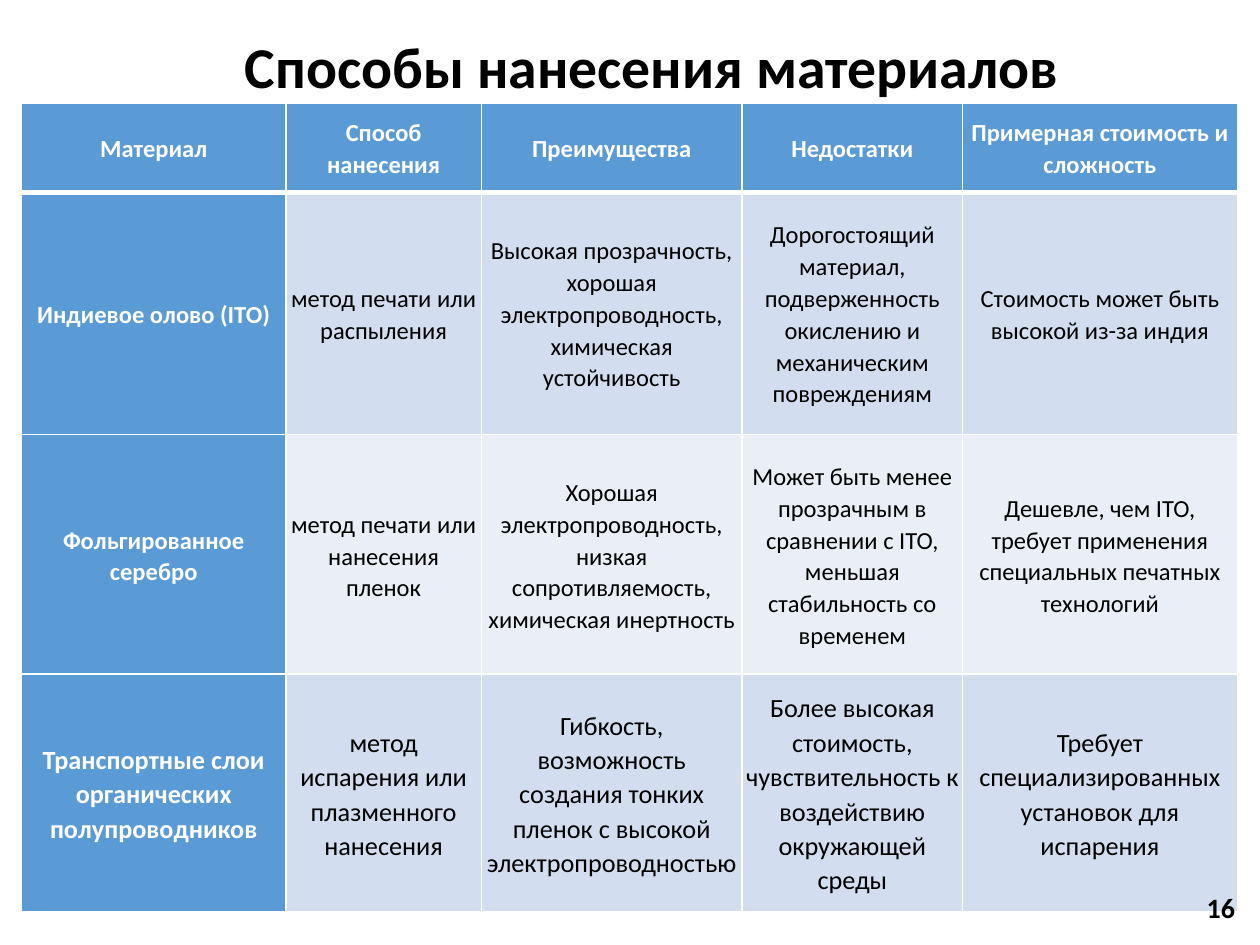
from lxml.etree import SubElement
from pptx import Presentation
from pptx.dml.color import RGBColor
from pptx.enum.text import MSO_ANCHOR, PP_ALIGN
from pptx.oxml.ns import qn
from pptx.util import Inches, Pt

COLORS = {
    "accent": "5B9BD5",
    "band_dark": "D2DEEF",
    "band_light": "EAEFF7",
    "white": "FFFFFF",
    "black": "000000",
}
FONT = "Calibri"
TABLE_LEFT = 0.17
COLUMN_WIDTHS = [2.1, 1.55, 2.07, 1.75, 2.18]
CELL_FORMAT = {
    "vertical_anchor": MSO_ANCHOR.MIDDLE,
    "margin_left": Inches(0.02),
    "margin_right": Inches(0.02),
    "margin_top": 0,
    "margin_bottom": 0,
}
CELL_PARAGRAPH = {
    "alignment": PP_ALIGN.CENTER,
    "line_spacing": 1.07,
    "space_after": Pt(8),
}

HEADER = ["Материал", "Способ нанесения", "Преимущества", "Недостатки",
          "Примерная стоимость и сложность"]
INDIUM = [
    "Индиевое олово (ITO)",
    "метод печати или распыления",
    "Высокая прозрачность, хорошая электропроводность, химическая устойчивость",
    "Дорогостоящий материал, подверженность окислению и механическим повреждениям",
    "Стоимость может быть высокой из-за индия",
]
SILVER = [
    "Фольгированное серебро",
    "метод печати или нанесения пленок",
    "Хорошая электропроводность, низкая сопротивляемость, химическая инертность",
    "Может быть менее прозрачным в сравнении с ITO, меньшая стабильность со временем",
    "Дешевле, чем ITO, требует применения специальных печатных технологий",
]
ORGANIC = [
    "Транспортные слои органических полупроводников",
    "метод испарения или плазменного нанесения",
    "Гибкость, возможность создания тонких пленок с высокой электропроводностью",
    "Более высокая стоимость, чувствительность к воздействию окружающей среды",
    "Требует специализированных установок для испарения",
]


def set_attributes(target, values):
    for name, value in values.items():
        setattr(target, name, value)


def write_text(frame, text, size, color, bold, paragraph_format):
    para = frame.paragraphs[0]
    set_attributes(para, paragraph_format)
    span = para.add_run()
    span.text = text
    set_attributes(span.font, {"name": FONT, "size": Pt(size), "bold": bold})
    span.font.color.rgb = RGBColor.from_string(COLORS[color])


def add_text_box(page, place, text, size, paragraph_format):
    box = page.shapes.add_textbox(*map(Inches, place))
    set_attributes(box.text_frame, {
        "word_wrap": True,
        "vertical_anchor": MSO_ANCHOR.MIDDLE,
    })
    write_text(box.text_frame, text, size, "black", True, paragraph_format)


def set_borders(cell, bottom_width):
    """Draw white cell borders; line elements precede the fill in the schema."""
    properties = cell._tc.get_or_add_tcPr()
    widths = {"a:lnL": 1, "a:lnR": 1, "a:lnT": 1, "a:lnB": bottom_width}
    for position, (tag, width) in enumerate(widths.items()):
        line = SubElement(properties, qn(tag), w=str(Pt(width)))
        fill = SubElement(line, qn("a:solidFill"))
        SubElement(fill, qn("a:srgbClr"), val=COLORS["white"])
        properties.insert(position, line)


def add_material_table(page, top, rows, size):
    """Each row is (height, band colour, bottom border width, texts)."""
    height = sum(row[0] for row in rows)
    frame = page.shapes.add_table(
        len(rows), len(COLUMN_WIDTHS), Inches(TABLE_LEFT), Inches(top),
        Inches(sum(COLUMN_WIDTHS)), Inches(height))
    table = frame.table
    set_attributes(table, {"first_row": False, "horz_banding": False})
    for column, width in zip(table.columns, COLUMN_WIDTHS):
        column.width = Inches(width)

    for row, (row_height, band, bottom_width, texts) in zip(table.rows, rows):
        row.height = Inches(row_height)
        for index, (cell, text) in enumerate(zip(row.cells, texts)):
            fill = "accent" if index == 0 else band
            heading = fill == "accent"
            set_attributes(cell, CELL_FORMAT)
            cell.fill.solid()
            cell.fill.fore_color.rgb = RGBColor.from_string(COLORS[fill])
            set_borders(cell, bottom_width)
            write_text(cell.text_frame, text, size,
                       "white" if heading else "black", heading, CELL_PARAGRAPH)


def main():
    deck = Presentation()
    set_attributes(deck, {"slide_width": Inches(10), "slide_height": Inches(7.5)})
    page = deck.slides.add_slide(deck.slide_layouts[6])

    # Title
    add_text_box(page, (0.63, 0.13, 9.09, 0.85), "Способы нанесения материалов", 33,
                 {"alignment": PP_ALIGN.CENTER, "line_spacing": 0.9})

    # Header with the first two materials
    add_material_table(page, 0.82, [
        (0.71, "accent", 3, HEADER),
        (1.92, "band_dark", 1, INDIUM),
        (1.92, "band_light", 1, SILVER),
    ], 14)

    # Third material, in larger type
    add_material_table(page, 5.35, [(1.9, "band_dark", 3, ORGANIC)], 15)

    # Page number
    add_text_box(page, (7.65, 7, 2.25, 0.4), "16", 16, {"alignment": PP_ALIGN.RIGHT})

    deck.save("out.pptx")


if __name__ == "__main__":
    main()
